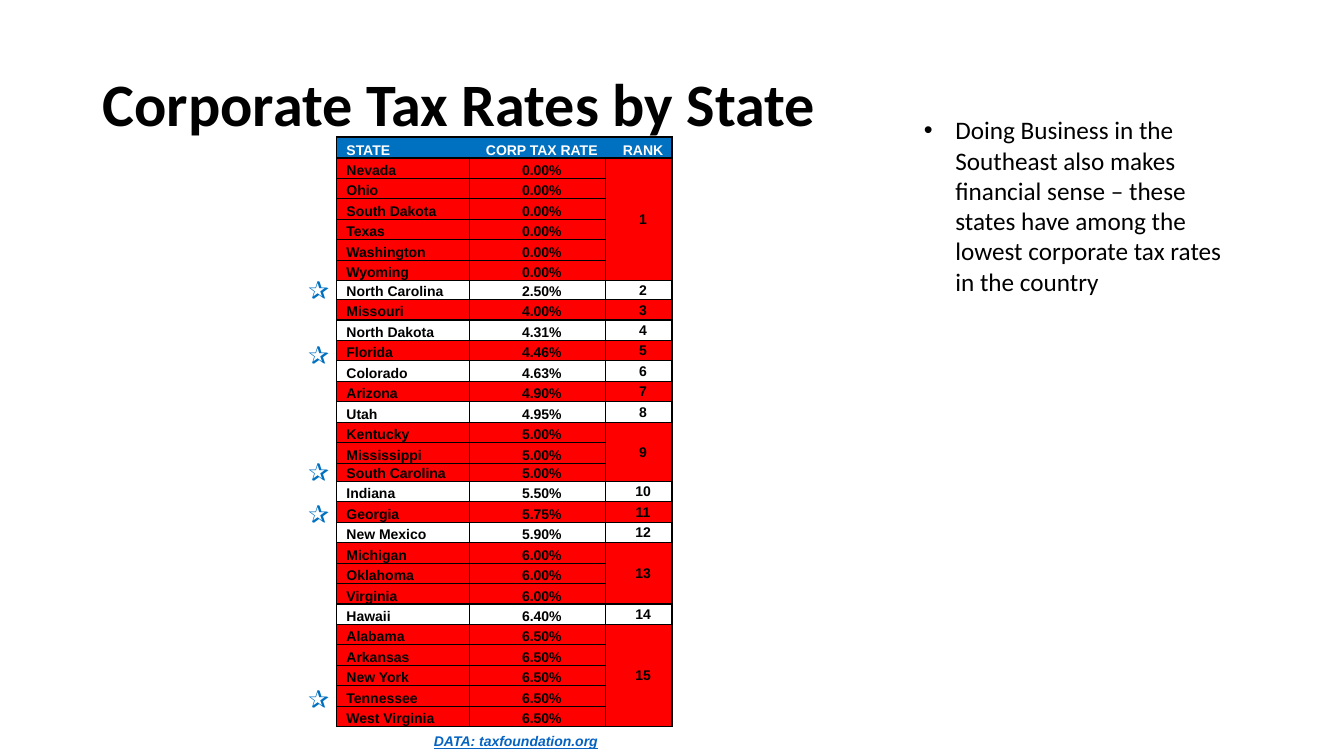
from dataclasses import dataclass

from lxml import etree
from pptx import Presentation
from pptx.dml.color import RGBColor
from pptx.enum.text import MSO_ANCHOR, MSO_AUTO_SIZE, PP_ALIGN
from pptx.oxml.ns import qn
from pptx.util import Emu, Pt

LEFT, CENTER = PP_ALIGN.LEFT, PP_ALIGN.CENTER
TOP, MIDDLE, BOTTOM = MSO_ANCHOR.TOP, MSO_ANCHOR.MIDDLE, MSO_ANCHOR.BOTTOM
GROW, FIXED = MSO_AUTO_SIZE.SHAPE_TO_FIT_TEXT, MSO_AUTO_SIZE.NONE
EMU_PER_PX = 4762.5

HEADINGS = ("STATE", "CORP TAX RATE", "RANK")
RANKED_STATES = [
    ("0.00%", ["Nevada", "Ohio", "South Dakota", "Texas", "Washington", "Wyoming"]),
    ("2.50%", ["North Carolina"]),
    ("4.00%", ["Missouri"]),
    ("4.31%", ["North Dakota"]),
    ("4.46%", ["Florida"]),
    ("4.63%", ["Colorado"]),
    ("4.90%", ["Arizona"]),
    ("4.95%", ["Utah"]),
    ("5.00%", ["Kentucky", "Mississippi", "South Carolina"]),
    ("5.50%", ["Indiana"]),
    ("5.75%", ["Georgia"]),
    ("5.90%", ["New Mexico"]),
    ("6.00%", ["Michigan", "Oklahoma", "Virginia"]),
    ("6.40%", ["Hawaii"]),
    ("6.50%", ["Alabama", "Arkansas", "New York", "Tennessee", "West Virginia"]),
]
COLUMN_WIDTHS = (253, 259, 127)
HEADER_HEIGHT, ROW_HEIGHT = 40, 39
CAROLINA_HEIGHTS = {"North Carolina": 36, "South Carolina": 35}
STAR_TOPS = (513, 636, 860, 939, 1292)


@dataclass(frozen=True)
class Theme:
    """Colours, fonts and type sizes of the slide."""
    black: str = "000000"
    white: str = "FFFFFF"
    blue: str = "0070C0"
    link: str = "0563C1"
    red: str = "FF0000"
    body_font: str = "Calibri"
    table_font: str = "Arial"
    title_size: int = 43
    body_size: int = 18
    table_size: int = 10
    thick: float = 1
    thin: float = 0.75


def px(length):
    """Turn px into EMU."""
    return Emu(int(length * EMU_PER_PX))


def set_values(target, values):
    """Set each attribute named in the values."""
    for name, value in values.items():
        setattr(target, name, value)


class SlideBuilder:
    """Draws styled elements on the current slide."""

    def __init__(self, presentation, theme):
        """Add a blank slide."""
        self.theme = theme
        self.slide = presentation.slides.add_slide(presentation.slide_layouts[6])

    def styled_run(self, paragraph, text, color, align=LEFT, **font):
        """Add one styled run to a paragraph."""
        paragraph.alignment = align
        run = paragraph.add_run()
        run.text = text
        style = {"name": self.theme.body_font, "size": self.theme.body_size} | font
        set_values(run.font, style | {"size": Pt(style["size"])})
        run.font.color.rgb = RGBColor.from_string(color)

    def text(self, box, text, color, anchor=TOP, auto_size=GROW, **style):
        """Add a text box and return its paragraph."""
        frame = self.slide.shapes.add_textbox(*map(px, box)).text_frame
        set_values(frame, {"word_wrap": True, "vertical_anchor": anchor,
                           "auto_size": auto_size})
        paragraph = frame.paragraphs[0]
        self.styled_run(paragraph, text, color, **style)
        return paragraph

    def bullet(self, box, text, color, indent):
        """Add a text box with one bulleted paragraph."""
        properties = self.text(box, text, color)._p.get_or_add_pPr()
        properties.set("marL", str(px(indent)))
        properties.set("indent", str(-px(indent)))
        etree.SubElement(properties, qn("a:buFont"), typeface="Arial")
        etree.SubElement(properties, qn("a:buChar"), char="•")

    def table(self, left, top, widths, heights):
        """Add a plain table of the given column widths and row heights."""
        box = (left, top, sum(widths), sum(heights))
        table = self.slide.shapes.add_table(len(heights), len(widths), *map(px, box)).table
        set_values(table, {"first_row": False, "horz_banding": False})
        for column, width in zip(table.columns, widths):
            column.width = px(width)
        for row, height in zip(table.rows, heights):
            row.height = px(height)
        return table

    def cell(self, cell, text, color, fill, borders, align, anchor=BOTTOM):
        """Style one cell, with border widths for left, right, top and bottom."""
        set_values(cell, {"margin_left": px(19), "margin_top": px(2), "margin_right": px(2),
                          "margin_bottom": 0, "vertical_anchor": anchor})
        properties = cell._tc.get_or_add_tcPr()
        for side, width in zip("LRTB", borders):
            line = etree.SubElement(properties, qn(f"a:ln{side}"), w=str(Pt(width)))
            if width:
                solid = etree.SubElement(line, qn("a:solidFill"))
                etree.SubElement(solid, qn("a:srgbClr"), val=self.theme.black)
            else:
                etree.SubElement(line, qn("a:noFill"))
        if fill:
            cell.fill.solid()
            cell.fill.fore_color.rgb = RGBColor.from_string(fill)
        else:
            cell.fill.background()
        paragraph = cell.text_frame.paragraphs[0]
        if text:
            self.styled_run(paragraph, text, color, align, name=self.theme.table_font,
                            size=self.theme.table_size, bold=True)
        etree.SubElement(paragraph._p, qn("a:endParaRPr"), sz=str(self.theme.table_size * 100))

    def tax_table(self, left, top):
        """Add the table of states grouped by rank."""
        theme = self.theme
        thick, thin = theme.thick, theme.thin
        heights = [HEADER_HEIGHT] + [CAROLINA_HEIGHTS.get(state, ROW_HEIGHT)
                                     for _, states in RANKED_STATES for state in states]
        table = self.table(left, top, COLUMN_WIDTHS, heights)
        aligns = (LEFT, CENTER, CENTER)
        edges = ((thick, 0), (0, 0), (0, thick))
        for column, heading in enumerate(HEADINGS):
            self.cell(table.cell(0, column), heading, theme.white, theme.blue,
                      (*edges[column], thick, thick), aligns[column])
        row = 1
        for rank, (rate, states) in enumerate(RANKED_STATES, 1):
            fill = theme.red if rank % 2 else None
            last = len(states) - 1
            for index, state in enumerate(states):
                upper = thin if index else thick
                lower = thin if index < last else thick
                values = (state, rate, "" if index else str(rank))
                borders = ((thick, thin, upper, lower), (thin, thin, upper, lower),
                           (thin, thick, 0 if index else thick,
                            0 if 0 < index < last else thick))
                for column, anchor in enumerate((BOTTOM, BOTTOM, MIDDLE)):
                    self.cell(table.cell(row + index, column), values[column], theme.black,
                              fill, borders[column], aligns[column], anchor)
            if last:
                table.cell(row, 2).merge(table.cell(row + last, 2))
            row += len(states)


def main():
    """Build and save the slide."""
    presentation = Presentation()
    set_values(presentation, {"slide_width": px(2560), "slide_height": px(1440)})
    theme = Theme()
    builder = SlideBuilder(presentation, theme)
    builder.bullet((1741, 209, 612, 369),
                   "Doing Business in the Southeast also makes financial sense – these states "
                   "have among the lowest corporate tax rates in the country", theme.black, 60)
    builder.text((804, 1386, 357, 52), "DATA: taxfoundation.org", theme.link, align=CENTER,
                 name=theme.table_font, size=theme.table_size,
                 bold=True, italic=True, underline=True)
    builder.tax_table(641, 261)
    for top in STAR_TOPS:
        builder.text((568, top, 73, 77), "✰", theme.blue)
    title = builder.text((177, 77, 2208, 253), "Corporate Tax Rates by State", theme.black,
                         MIDDLE, FIXED, size=theme.title_size, bold=True)
    title.line_spacing = 0.9
    presentation.save("out.pptx")


if __name__ == "__main__":
    main()
